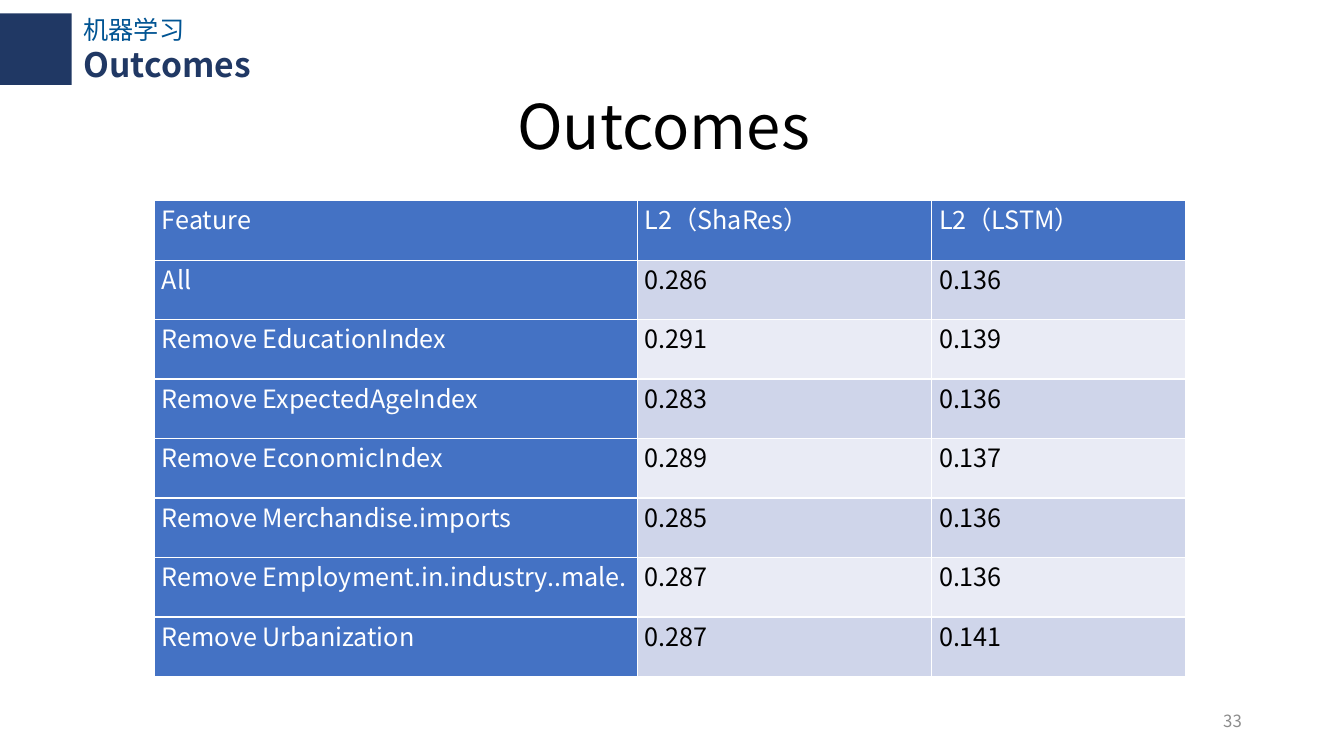
"""Build the Outcomes slide comparing L2 of ShaRes and LSTM by removed feature."""
from dataclasses import dataclass
from typing import Any

from lxml.etree import SubElement
from pptx import Presentation
from pptx.dml.color import RGBColor
from pptx.enum.shapes import MSO_SHAPE
from pptx.enum.text import MSO_ANCHOR, MSO_AUTO_SIZE, PP_ALIGN
from pptx.oxml.ns import qn
from pptx.slide import Slide
from pptx.table import _Cell
from pptx.text.text import TextFrame
from pptx.util import Pt


@dataclass(frozen=True)
class Theme:
    font: str = "Noto Sans CJK SC"
    black: str = "000000"
    white: str = "FFFFFF"
    navy: str = "203864"
    course_blue: str = "005493"
    page_grey: str = "8C8C8C"
    header: str = "4472C4"
    bands: tuple[str, str] = ("CFD5EA", "E9EBF5")
    title_size: float = 44
    section_size: float = 24
    body_size: float = 18
    page_size: float = 12
    border: float = 1


@dataclass(frozen=True)
class Box:
    left: float
    top: float
    width: float
    height: float

    def lengths(self) -> tuple[Pt, Pt, Pt, Pt]:
        return Pt(self.left), Pt(self.top), Pt(self.width), Pt(self.height)


@dataclass(frozen=True)
class Label:
    text: str
    box: Box
    size: float
    color: str
    bold: bool = False
    align: PP_ALIGN = PP_ALIGN.LEFT
    anchor: MSO_ANCHOR = MSO_ANCHOR.TOP


@dataclass(frozen=True)
class Outcome:
    feature: str
    shares: str
    lstm: str


THEME = Theme()
TITLE = Label("Outcomes", Box(362.2, 64, 235.4, 57.6), THEME.title_size,
              THEME.black, anchor=MSO_ANCHOR.MIDDLE)
LABELS = (
    Label("33", Box(678.2, 500.4, 216, 28.8), THEME.page_size, THEME.page_grey,
          align=PP_ALIGN.RIGHT, anchor=MSO_ANCHOR.MIDDLE),
    Label("机器学习", Box(52.6, 6.5, 272.2, 29), THEME.body_size, THEME.course_blue),
    Label("Outcomes", Box(52.6, 28.1, 478, 36.3), THEME.section_size, THEME.navy, bold=True),
)
CORNER = Box(0, 9.5, 51.1, 51.1)
TABLE = Box(110.3, 143.3, 736.5, 340)
COLUMN_WIDTHS = (344.9, 210.2, 181.4)
OUTCOMES = (
    Outcome("Feature", "L2（ShaRes）", "L2（LSTM）"),
    Outcome("All", "0.286", "0.136"),
    Outcome("Remove EducationIndex", "0.291", "0.139"),
    Outcome("Remove ExpectedAgeIndex", "0.283", "0.136"),
    Outcome("Remove EconomicIndex", "0.289", "0.137"),
    Outcome("Remove Merchandise.imports", "0.285", "0.136"),
    Outcome("Remove Employment.in.industry..male.", "0.287", "0.136"),
    Outcome("Remove Urbanization", "0.287", "0.141"),
)


def apply(target: Any, values: dict[str, Any]) -> None:
    for name, value in values.items():
        setattr(target, name, value)


def write(frame: TextFrame, text: str, size: float, color: str, bold: bool = False) -> None:
    run = frame.paragraphs[0].add_run()
    run.text = text
    apply(run.font, {"name": THEME.font, "size": Pt(size), "bold": bold})
    run.font.color.rgb = RGBColor.from_string(color)
    SubElement(run._r.get_or_add_rPr(), qn("a:ea"), typeface=THEME.font)


def fill_label(frame: TextFrame, label: Label) -> None:
    apply(frame, {"word_wrap": True, "auto_size": MSO_AUTO_SIZE.NONE,
                  "vertical_anchor": label.anchor})
    frame.paragraphs[0].alignment = label.align
    write(frame, label.text, label.size, label.color, label.bold)


def add_title(slide: Slide, label: Label) -> None:
    title = slide.shapes.title
    apply(title, dict(zip(("left", "top", "width", "height"), label.box.lengths())))
    fill_label(title.text_frame, label)
    title.text_frame.paragraphs[0].line_spacing = 0.9


def add_label(slide: Slide, label: Label) -> None:
    fill_label(slide.shapes.add_textbox(*label.box.lengths()).text_frame, label)


def add_corner(slide: Slide, box: Box) -> None:
    corner = slide.shapes.add_shape(MSO_SHAPE.RECTANGLE, *box.lengths())
    corner.shadow.inherit = False
    corner.fill.solid()
    corner.fill.fore_color.rgb = RGBColor.from_string(THEME.navy)
    corner.line.fill.background()


def format_cell(cell: _Cell, text: str, fill: str, color: str) -> None:
    apply(cell, {"margin_left": Pt(5.4), "margin_right": Pt(5.4),
                 "margin_top": Pt(0), "margin_bottom": Pt(0),
                 "vertical_anchor": MSO_ANCHOR.TOP})
    write(cell.text_frame, text, THEME.body_size, color)
    properties = cell._tc.get_or_add_tcPr()
    for side in ("lnL", "lnR", "lnT", "lnB"):
        border = SubElement(properties, qn(f"a:{side}"), w=str(Pt(THEME.border)))
        SubElement(SubElement(border, qn("a:solidFill")), qn("a:srgbClr"), val=THEME.white)
    cell.fill.solid()
    cell.fill.fore_color.rgb = RGBColor.from_string(fill)


def add_outcomes(slide: Slide, outcomes: tuple[Outcome, ...], box: Box) -> None:
    table = slide.shapes.add_table(len(outcomes), len(COLUMN_WIDTHS), *box.lengths()).table
    apply(table, {"first_row": False, "horz_banding": False})
    for column, width in zip(table.columns, COLUMN_WIDTHS):
        column.width = Pt(width)
    for row, outcome in enumerate(outcomes):
        table.rows[row].height = Pt(box.height / len(outcomes))
        for column, text in enumerate((outcome.feature, outcome.shares, outcome.lstm)):
            heading = row == 0 or column == 0
            fill = THEME.header if heading else THEME.bands[(row - 1) % 2]
            color = THEME.white if heading else THEME.black
            format_cell(table.cell(row, column), text, fill, color)


def main() -> None:
    deck = Presentation()
    apply(deck, {"slide_width": Pt(960), "slide_height": Pt(540)})
    slide = deck.slides.add_slide(deck.slide_layouts.get_by_name("Title Only"))
    add_title(slide, TITLE)
    add_outcomes(slide, OUTCOMES, TABLE)
    for label in LABELS:
        add_label(slide, label)
    add_corner(slide, CORNER)
    deck.save("out.pptx")


if __name__ == "__main__":
    main()
